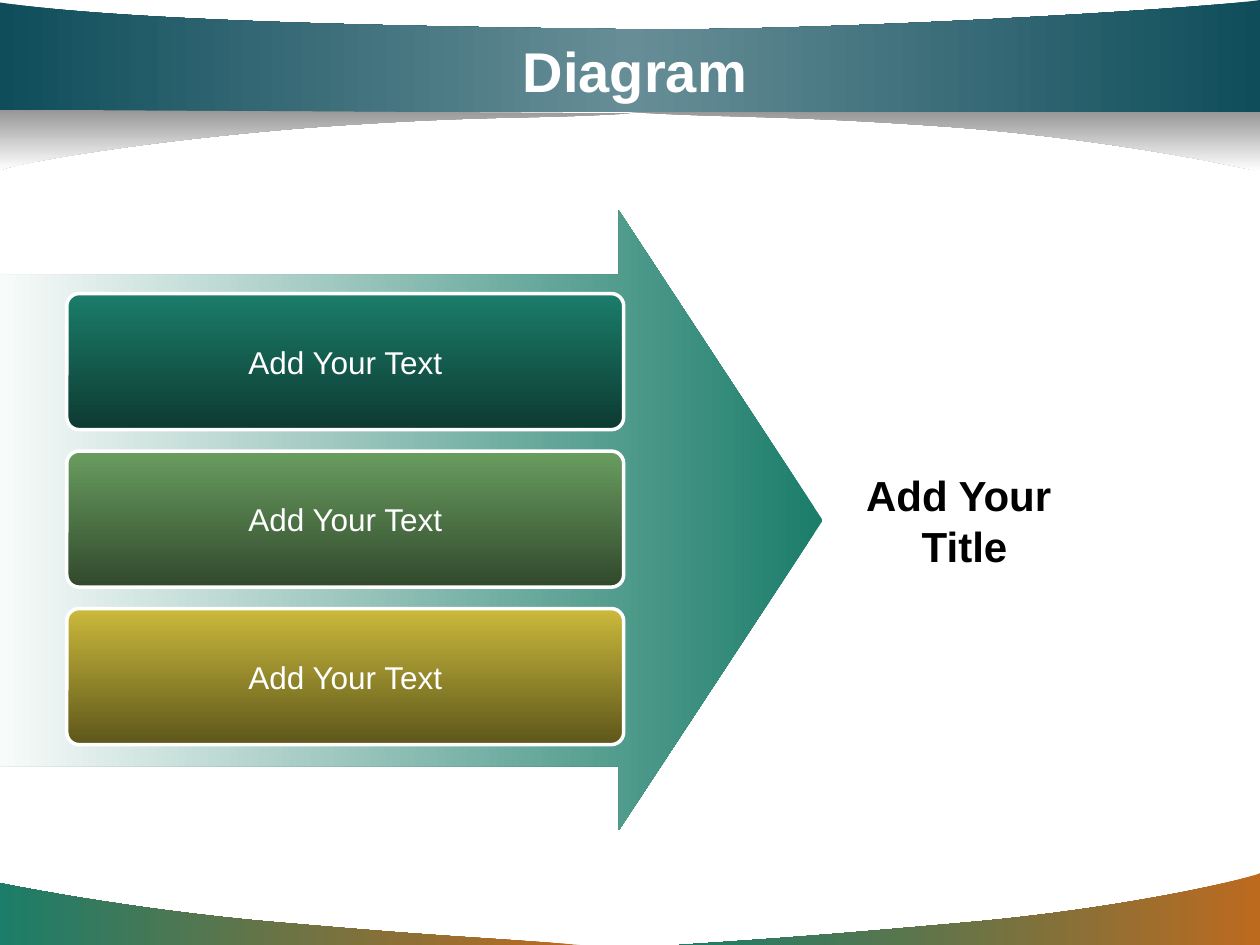
"""Build a diagram slide with three text bars on an arrow that points to a title."""
from copy import deepcopy

from pptx import Presentation
from pptx.dml.color import RGBColor
from pptx.enum.shapes import MSO_SHAPE as Preset
from pptx.enum.text import MSO_ANCHOR as Anchor, PP_ALIGN as Align
from pptx.util import Inches, Pt

COLORS = {
    "white": "FFFFFF", "black": "000000", "gray": "969696",
    "navy": "0F4D5B", "steel": "678E97", "orange": "BD6A1F",
    "teal": "1B7D6A", "dark_teal": "0D3A31", "mist": "F8FBFA",
    "green": "699D5F", "dark_green": "31492C",
    "gold": "CBBA3B", "dark_gold": "5E561B",
}


def paint(shape, names, angle):
    shape.shadow.inherit = False
    shape.line.fill.background()
    shape.fill.gradient()
    shape.fill.gradient_angle = 360 - angle
    stop_list = shape.element.find(".//{*}gsLst")
    while len(stop_list) < len(names):
        stop_list.append(deepcopy(stop_list[0]))
    for index, (stop, name) in enumerate(zip(shape.fill.gradient_stops, names)):
        stop.position = index / (len(names) - 1)
        stop.color.rgb = RGBColor.from_string(COLORS[name])


def write(box, text, size, color="white", bold=False, wrap=True):
    frame = box.text_frame
    frame.word_wrap = wrap
    frame.vertical_anchor = Anchor.MIDDLE
    frame.margin_left = frame.margin_right = Inches(0.1)
    frame.margin_top = frame.margin_bottom = Inches(0.05)
    frame.text = text
    for para in frame.paragraphs:
        para.alignment = Align.CENTER
        for span in para.runs:
            span.font.name = "Arial"
            span.font.size = Pt(size)
            span.font.bold = bold
            span.font.color.rgb = RGBColor.from_string(COLORS[color])


deck = Presentation()
deck.slide_width, deck.slide_height = Inches(10), Inches(7.5)
page = deck.slides.add_slide(deck.slide_layouts[5])

waves = [
    (["orange", "teal"], 180, [
        (4.6, 7.5), (3.84, 7.44, 3.58, 7.44, 2.32, 7.33),
        (1.06, 7.23, 0.01, 7.01, 0, 7.01), (0, 7.5), (4.6, 7.5)]),
    (["orange", "teal"], 180, [
        (5.39, 7.5), (6.14, 7.45, 6.46, 7.43, 7.69, 7.32),
        (8.92, 7.21, 9.9, 6.98, 10, 6.93), (10, 7.5), (5.39, 7.5)]),
    (["gray", "white"], 90, [
        (5, 0.89), (5.84, 0.94, 6.2, 0.91, 7.58, 1.01),
        (8.97, 1.12, 9.98, 1.36, 10, 1.36), (10, 0.88), (5, 0.89)]),
    (["navy", "steel", "navy"], 180, [
        (0, 0.89), (10, 0.89), (10, 0),
        (9.64, 0.06, 6.53, 0.26, 4.87, 0.23),
        (3.21, 0.21, 1.01, 0.17, 0, 0.02), (0, 0.89)]),
    (["gray", "white"], 90, [
        (5, 0.9), (4.16, 0.95, 3.88, 0.91, 2.49, 1.01),
        (1.1, 1.12, 0.11, 1.3, 0, 1.35), (0, 0.87), (5, 0.9)]),
]
for names, angle, segments in waves:
    corners = [(Inches(segment[-2]), Inches(segment[-1])) for segment in segments]
    builder = page.shapes.build_freeform(*corners[0])
    builder.add_line_segments(corners[1:], close=True)
    wave = builder.convert_to_shape()
    sides = wave.element.findall(".//{*}lnTo")
    for side, segment in zip(sides, segments[1:]):
        if len(segment) == 6:
            side.tag = side.tag.replace("lnTo", "cubicBezTo")
            for index in (0, 1):
                control = deepcopy(side[-1])
                control.set("x", str(Inches(segment[2 * index]) - wave.left))
                control.set("y", str(Inches(segment[2 * index + 1]) - wave.top))
                side.insert(index, control)
    paint(wave, names, angle)

title = page.shapes.title
title.left, title.top = Inches(0.75), Inches(0.25)
title.width, title.height = Inches(8.58), Inches(0.62)
write(title, "Diagram", 32, bold=True)
title.element.getparent().append(title.element)

arrow = page.shapes.add_shape(
    Preset.RIGHT_ARROW, Inches(0), Inches(1.67), Inches(6.53), Inches(4.92))
arrow.adjustments[0], arrow.adjustments[1] = 0.793, 0.329
paint(arrow, ["teal", "mist"], 180)

bars = [("teal", "dark_teal"), ("green", "dark_green"), ("gold", "dark_gold")]
for row, names in enumerate(bars):
    bar = page.shapes.add_shape(
        Preset.ROUNDED_RECTANGLE,
        Inches(0.53), Inches(2.33 + 1.25 * row), Inches(4.42), Inches(1.08))
    bar.adjustments[0] = 0.091
    paint(bar, names, 90)
    bar.line.color.rgb = RGBColor.from_string(COLORS["white"])
    bar.line.width = Pt(2)
    write(bar, "Add Your Text", 18, wrap=False)

result = page.shapes.add_shape(
    Preset.ROUNDED_RECTANGLE, Inches(6.28), Inches(3.42), Inches(2.75), Inches(1.42))
result.adjustments[0] = 0.091
result.shadow.inherit = False
result.fill.background()
result.line.fill.background()
write(result, "Add Your \nTitle", 24, color="black", bold=True)

deck.save("out.pptx")
